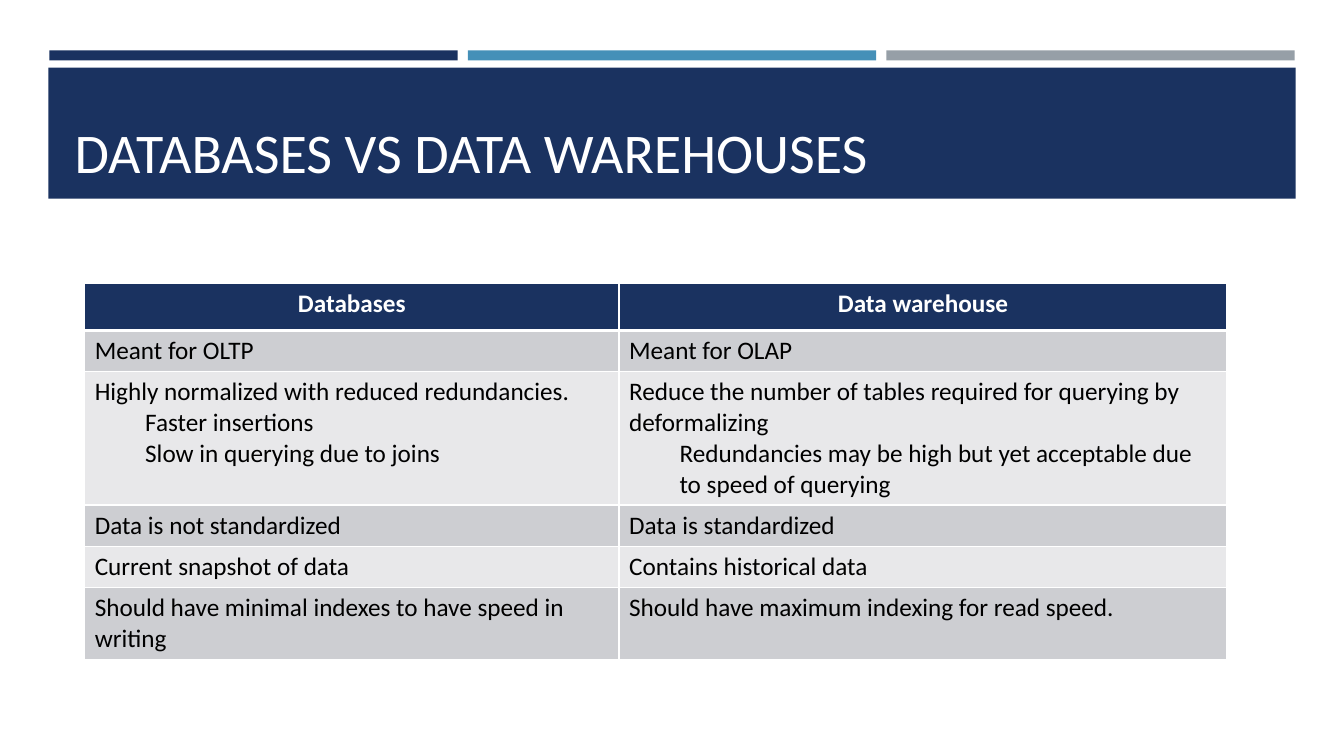
from dataclasses import dataclass
from typing import Any

from lxml.etree import SubElement
from pptx import Presentation
from pptx.dml.color import RGBColor
from pptx.enum.shapes import MSO_SHAPE
from pptx.enum.text import MSO_ANCHOR, MSO_AUTO_SIZE, PP_ALIGN
from pptx.oxml.ns import qn
from pptx.util import Emu, Pt

SCALE = 9144  # EMU in one px, 100 px to the inch


@dataclass(frozen=True)
class Theme:
    navy: str = "1A3260"
    blue: str = "4590B8"
    grey: str = "969FA7"
    dark: str = "CDCED2"
    light: str = "E8E8EA"
    white: str = "FFFFFF"
    black: str = "000000"
    face: str = "Calibri"
    title: int = 40
    body: int = 18
    rule: int = 1
    thick: int = 3


@dataclass(frozen=True)
class Bar:
    left: int
    top: int
    width: int
    height: int
    color: str


@dataclass(frozen=True)
class Row:
    height: int
    cells: tuple[tuple[str, ...], tuple[str, ...]]  # first line, then indented lines


THEME = Theme()
INDENT = 50
BARS = [
    *(Bar(49 + 415 * i, 50, 405, 10, color)
      for i, color in enumerate((THEME.navy, THEME.blue, THEME.grey))),
    Bar(48, 67, 1237, 130, THEME.navy),
]
COLS = (530, 603)
ROWS = [
    Row(47, (("Databases",), ("Data warehouse",))),
    Row(41, (("Meant for OLTP",), ("Meant for OLAP",))),
    Row(132, (
        ("Highly normalized with reduced redundancies.",
         "Faster insertions", "Slow in querying due to joins"),
        ("Reduce the number of tables required for querying by deformalizing",
         "Redundancies may be high but yet acceptable due to speed of querying"),
    )),
    Row(41, (("Data is not standardized",), ("Data is standardized",))),
    Row(41, (("Current snapshot of data",), ("Contains historical data",))),
    Row(70, (("Should have minimal indexes to have speed in writing",),
             ("Should have maximum indexing for read speed.",))),
]


def px(size: int) -> Emu:
    return Emu(size * SCALE)


def apply(item: Any, values: dict[str, Any]) -> None:
    for name, value in values.items():
        setattr(item, name, value)


def style(font: Any, size: int, color: str, bold: bool = False) -> None:
    apply(font, {"name": THEME.face, "size": Pt(size), "bold": bold})
    font.color.rgb = RGBColor.from_string(color)


def paint(fill: Any, color: str) -> None:
    fill.solid()
    fill.fore_color.rgb = RGBColor.from_string(color)


def draw_bar(slide: Any, bar: Bar) -> None:
    shape = slide.shapes.add_shape(
        MSO_SHAPE.RECTANGLE, px(bar.left), px(bar.top), px(bar.width), px(bar.height))
    shape.shadow.inherit = False
    paint(shape.fill, bar.color)
    shape.line.fill.background()


def draw_title(slide: Any, text: str) -> None:
    title = slide.shapes.title
    apply(title, {"left": px(64), "top": px(77), "width": px(1206), "height": px(111)})
    frame = title.text_frame
    frame.text = text
    apply(frame, {"vertical_anchor": MSO_ANCHOR.BOTTOM, "word_wrap": True,
                  "auto_size": MSO_AUTO_SIZE.NONE})
    line = frame.paragraphs[0]
    line.alignment = PP_ALIGN.LEFT
    style(line.runs[0].font, THEME.title, THEME.white)
    slide.shapes._spTree.append(title._element)  # in front of the band


def add_edges(cell: Any, top: int, bottom: int) -> None:
    props = cell._tc.get_or_add_tcPr()
    widths = {"a:lnL": THEME.rule, "a:lnR": THEME.rule, "a:lnT": top, "a:lnB": bottom}
    for tag, width in widths.items():
        edge = SubElement(props, qn(tag), w=str(Pt(width)))
        fill = SubElement(edge, qn("a:solidFill"))
        SubElement(fill, qn("a:srgbClr"), val=THEME.white)


def fill_cell(cell: Any, lines: tuple[str, ...], index: int) -> None:
    head = index == 0
    add_edges(cell, THEME.thick if index == 1 else THEME.rule,
              THEME.thick if head else THEME.rule)
    paint(cell.fill, THEME.navy if head else (THEME.light, THEME.dark)[index % 2])
    frame = cell.text_frame
    for depth, text in enumerate(lines):
        para = frame.add_paragraph() if depth else frame.paragraphs[0]
        para.alignment = PP_ALIGN.CENTER if head else PP_ALIGN.LEFT
        if depth:
            para.level = 1
            apply_indent = {"marL": str(px(INDENT)), "indent": "0"}
            for name, value in apply_indent.items():
                para._p.get_or_add_pPr().set(name, value)
        run = para.add_run()
        run.text = text
        style(run.font, THEME.body, THEME.white if head else THEME.black, head)


def draw_table(slide: Any, left: int, top: int) -> None:
    high = sum(row.height for row in ROWS)
    table = slide.shapes.add_table(
        len(ROWS), len(COLS), px(left), px(top), px(sum(COLS)), px(high)).table
    apply(table, {"first_row": False, "horz_banding": False})
    for col, width in zip(table.columns, COLS):
        col.width = px(width)
    for i, row in enumerate(ROWS):
        table.rows[i].height = px(row.height)
        for j, lines in enumerate(row.cells):
            fill_cell(table.cell(i, j), lines, i)


def main() -> None:
    deck = Presentation()
    apply(deck, {"slide_width": px(1333), "slide_height": px(750)})
    slide = deck.slides.add_slide(deck.slide_layouts[5])
    # Bars and title band
    for bar in BARS:
        draw_bar(slide, bar)
    draw_title(slide, "DATABASES VS DATA WAREHOUSES")
    # Comparison table
    draw_table(slide, 84, 281)
    deck.save("out.pptx")


if __name__ == "__main__":
    main()
